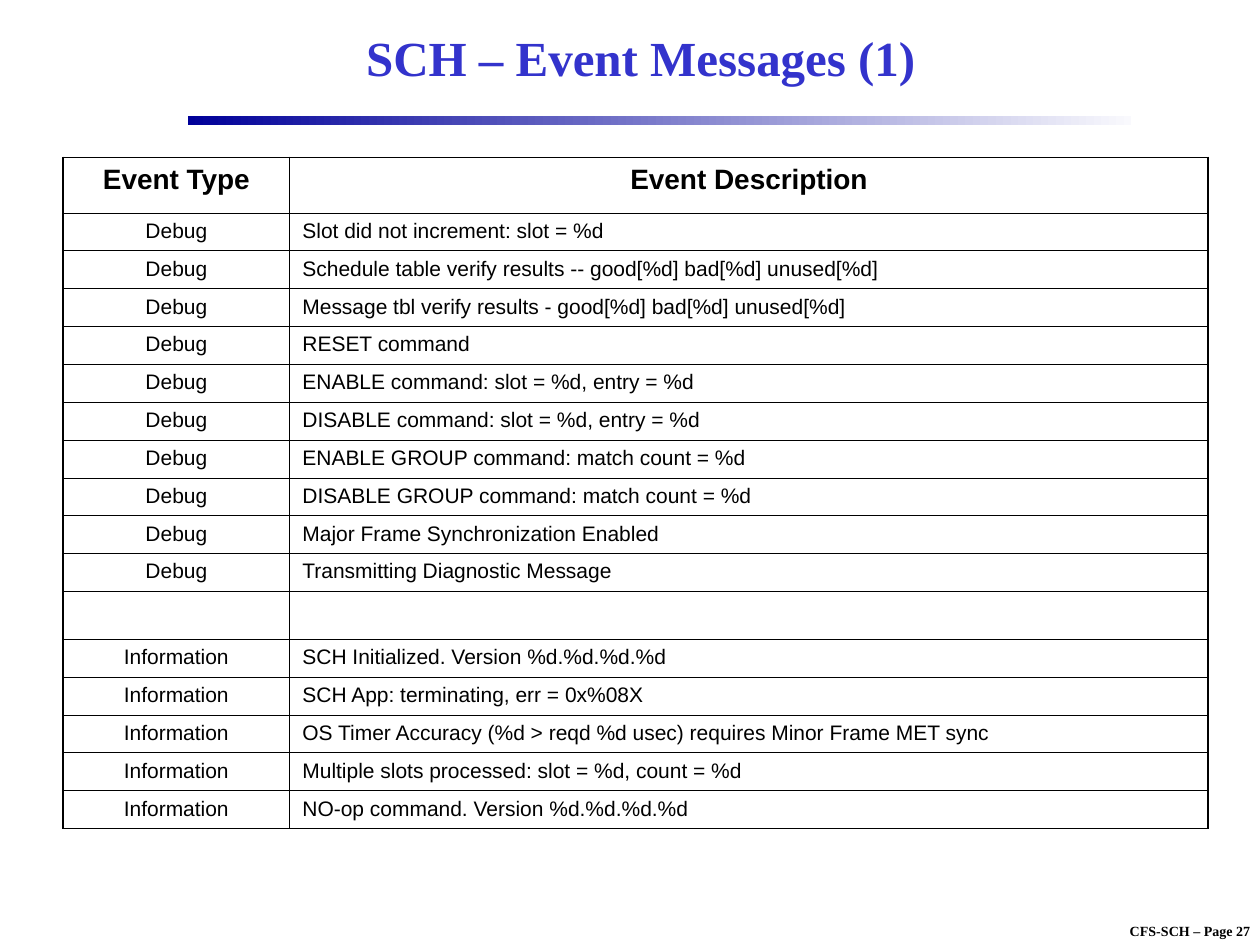
import pptx
import pptx.dml.color
import pptx.enum.shapes
import pptx.enum.text
import pptx.oxml.ns
import pptx.util
from lxml import etree
from pptx.dml.color import RGBColor
from pptx.util import Inches

BLACK = RGBColor(0x00, 0x00, 0x00)
TITLE_BLUE = RGBColor(0x33, 0x33, 0xCC)
RULE_BLUE = RGBColor(0x00, 0x00, 0x99)
RULE_PALE = RGBColor(0xF9, 0xF9, 0xFD)

SERIF = "Times New Roman"
SANS = "Arial"
CENTER = pptx.enum.text.PP_ALIGN.CENTER
LEFT = pptx.enum.text.PP_ALIGN.LEFT
MIDDLE = pptx.enum.text.MSO_ANCHOR.MIDDLE
TOP = pptx.enum.text.MSO_ANCHOR.TOP

HEADINGS = ("Event Type", "Event Description")
DEBUG_EVENTS = (
    "Slot did not increment: slot = %d",
    "Schedule table verify results -- good[%d] bad[%d] unused[%d]",
    "Message tbl verify results - good[%d] bad[%d] unused[%d]",
    "RESET command",
    "ENABLE command: slot = %d, entry = %d",
    "DISABLE command: slot = %d, entry = %d",
    "ENABLE GROUP command: match count = %d",
    "DISABLE GROUP command: match count = %d",
    "Major Frame Synchronization Enabled",
    "Transmitting Diagnostic Message",
)
INFORMATION_EVENTS = (
    "SCH Initialized. Version %d.%d.%d.%d",
    "SCH App: terminating, err = 0x%08X",
    "OS Timer Accuracy (%d > reqd %d usec) requires Minor Frame MET sync",
    "Multiple slots processed: slot = %d, count = %d",
    "NO-op command. Version %d.%d.%d.%d",
)


class SlideBuilder:
    thin, thick = 0.45, 1.08
    header_height, row_height, gap_height = 0.44, 0.3, 0.38

    def __init__(self, page):
        self.page = page

    def fill_text(self, frame, text, font, size, color, bold, align):
        frame.text = text
        para = frame.paragraphs[0]
        para.alignment = align
        for span in para.runs:
            span.font.name = font
            span.font.size = pptx.util.Pt(size)
            span.font.bold = bold
            span.font.color.rgb = color
        if not text:
            # Keeps an empty line from growing its row
            etree.SubElement(para._p, pptx.oxml.ns.qn("a:endParaRPr"), sz=str(size * 100))

    def text(self, area, text, size, color, wrap=True):
        box = self.page.shapes.add_textbox(*map(Inches, area))
        frame = box.text_frame
        frame.word_wrap = wrap
        frame.vertical_anchor = MIDDLE if wrap else TOP
        self.fill_text(frame, text, SERIF, size, color, True, CENTER)

    def gradient_bar(self, area, start, end):
        bar = self.page.shapes.add_shape(
            pptx.enum.shapes.MSO_SHAPE.RECTANGLE, *map(Inches, area))
        bar.shadow.inherit = False
        bar.line.fill.background()
        bar.fill.gradient()
        bar.fill.gradient_angle = 0
        for stop, color in zip(bar.fill.gradient_stops, (start, end)):
            stop.color.rgb = color

    def borders(self, cell, widths):
        """Draw black cell edges; widths are points for left, right, top, bottom."""
        properties = cell._tc.get_or_add_tcPr()
        for position, (side, width) in enumerate(zip("LRTB", widths)):
            edge = etree.Element(pptx.oxml.ns.qn(f"a:ln{side}"), w=str(int(pptx.util.Pt(width))))
            fill = etree.SubElement(edge, pptx.oxml.ns.qn("a:solidFill"))
            etree.SubElement(fill, pptx.oxml.ns.qn("a:srgbClr"), val=str(BLACK))
            properties.insert(position, edge)

    def table(self, left, top, column_widths, rows):
        heights = [self.header_height]
        heights += [self.row_height if any(row) else self.gap_height for row in rows[1:]]
        frame = self.page.shapes.add_table(
            len(rows), len(column_widths), Inches(left), Inches(top),
            Inches(sum(column_widths)), Inches(sum(heights)))
        table = frame.table
        table.first_row = table.horz_banding = False
        for column, width in zip(table.columns, column_widths):
            column.width = Inches(width)
        for row_index, (values, height) in enumerate(zip(rows, heights)):
            table.rows[row_index].height = Inches(height)
            header = row_index == 0
            for column_index, value in enumerate(values):
                cell = table.cell(row_index, column_index)
                first = column_index == 0
                last = column_index == len(values) - 1
                cell.fill.background()
                self.fill_text(cell.text_frame, value, SANS, 16 if header else 12,
                               BLACK, header, CENTER if header or first else LEFT)
                self.borders(cell, [self.thick if outer else self.thin
                                    for outer in (first, last, header, False)])


def main():
    deck = pptx.Presentation()
    deck.slide_width, deck.slide_height = Inches(10), Inches(7.5)
    builder = SlideBuilder(deck.slides.add_slide(deck.slide_layouts[6]))

    builder.text((8.67, 7.27, 1.55, 0.23), "CFS-SCH – Page 27", 8, BLACK, wrap=False)
    builder.gradient_bar((1.49, 0.92, 7.49, 0.07), RULE_BLUE, RULE_PALE)
    builder.text((1.5, 0.08, 7.17, 0.75), "SCH – Event Messages (1)", 28, TITLE_BLUE)

    rows = [HEADINGS]
    rows += [("Debug", event) for event in DEBUG_EVENTS]
    rows += [("", "")]
    rows += [("Information", event) for event in INFORMATION_EVENTS]
    builder.table(0.5, 1.25, (1.8, 7.29), rows)

    deck.save("out.pptx")


if __name__ == "__main__":
    main()
